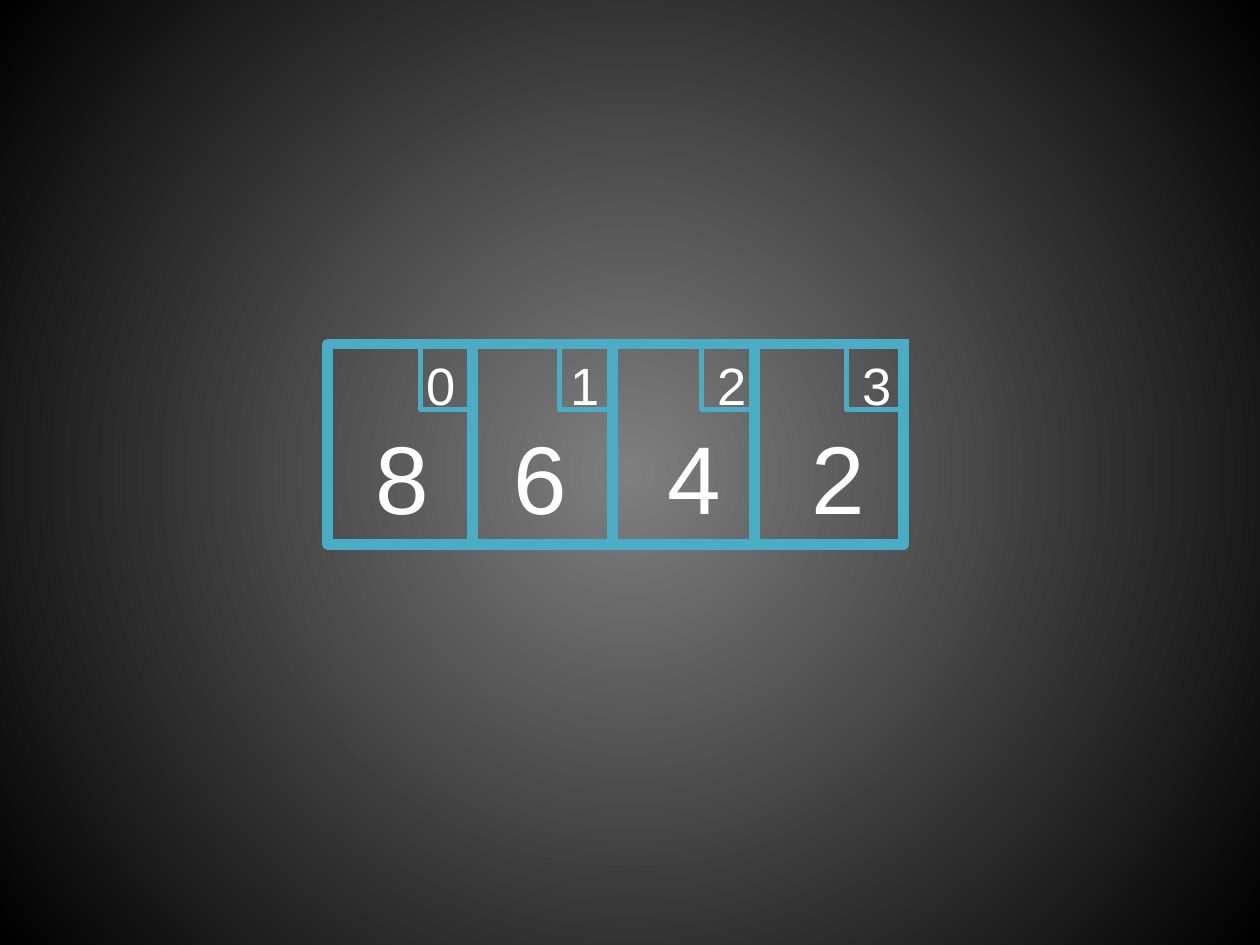
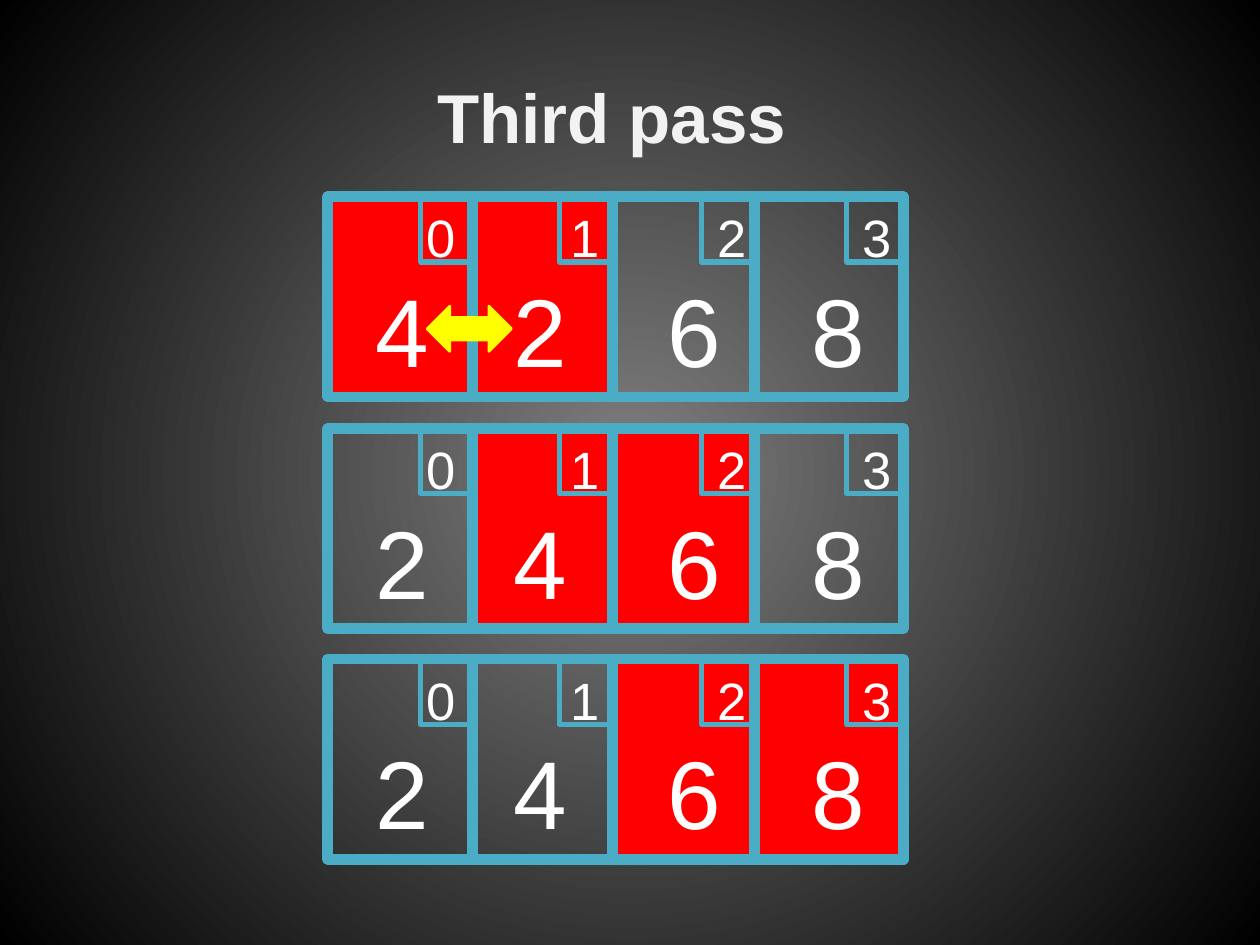
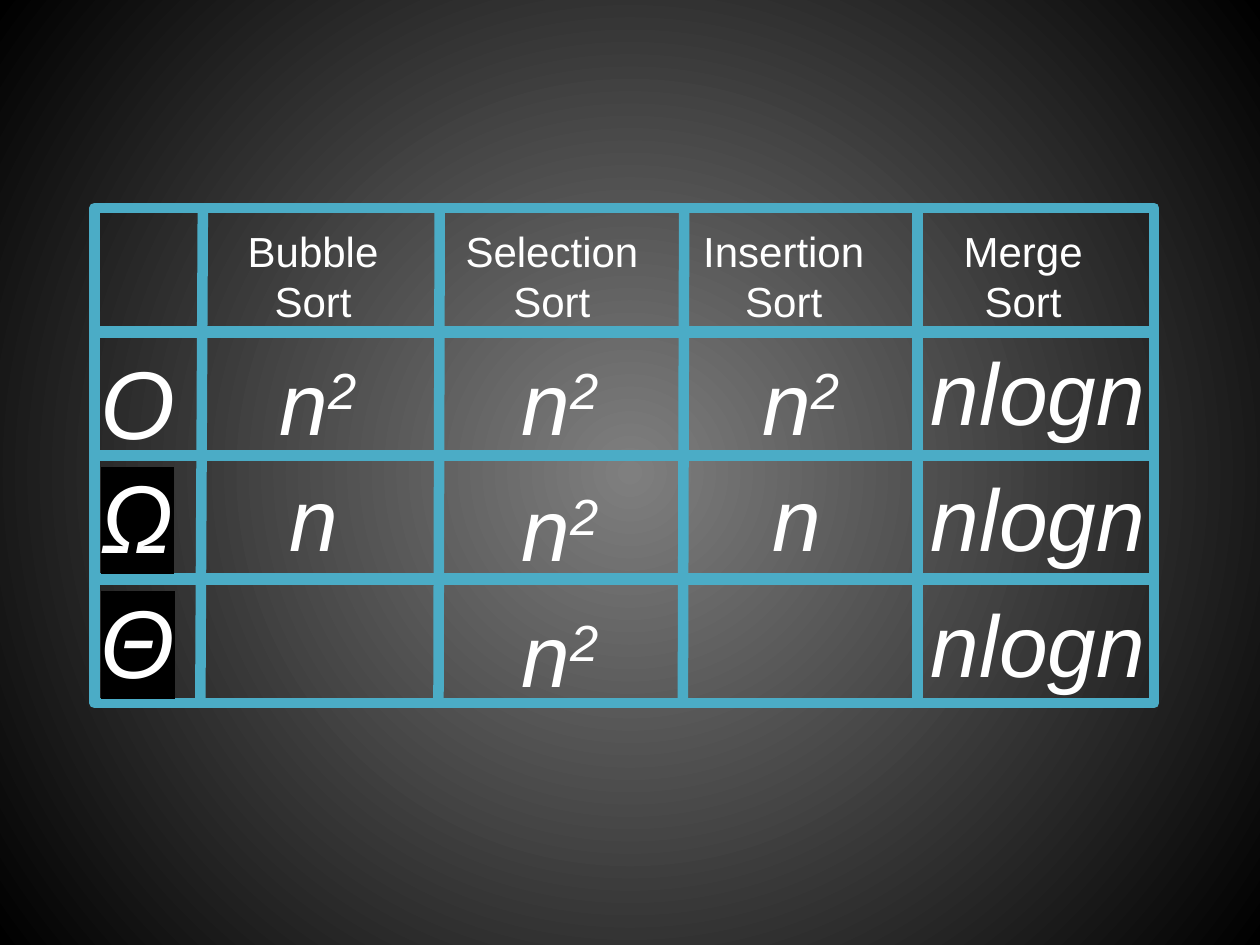
from dataclasses import dataclass

from lxml.etree import SubElement
from pptx import Presentation
from pptx.dml.color import RGBColor as RGB
from pptx.enum.shapes import MSO_CONNECTOR as CONNECTOR, MSO_SHAPE as SHAPE
from pptx.enum.text import MSO_ANCHOR as ANCHOR, PP_ALIGN as ALIGN
from pptx.oxml.ns import qn
from pptx.util import Pt

PX = 9144
LINE = "line"


@dataclass(frozen=True)
class Theme:
    font: str = "Arial"
    glow: RGB = RGB(0x7F, 0x7F, 0x7F)
    black: RGB = RGB(0, 0, 0)
    white: RGB = RGB(0xFF, 0xFF, 0xFF)
    title: RGB = RGB(0xF2, 0xF2, 0xF2)
    grid: RGB = RGB(0x4B, 0xAC, 0xC6)
    compared: RGB = RGB(0xFF, 0, 0)
    compared_edge: RGB = RGB(0x1F, 0x49, 0x7D)
    swap: RGB = RGB(0xFF, 0xFF, 0)
    title_size: float = 39.5
    value_size: int = 55
    growth_size: int = 50
    index_size: int = 30
    header_size: int = 24
    thick: int = 6
    medium: int = 3
    thin: float = 1.5


theme = Theme()


def draw(shapes, kind, box, color, weight, fill=None):
    left, top, width, height = [length * PX for length in box]
    if kind == LINE:
        shape = shapes.add_connector(
            CONNECTOR.STRAIGHT, left, top, left + width, top + height)
    else:
        shape = shapes.add_shape(kind, left, top, width, height)
        shape.shadow.inherit = False
        if fill is None:
            shape.fill.background()
        else:
            shape.fill.solid()
            shape.fill.fore_color.rgb = fill
    shape.line.color.rgb = color
    shape.line.width = Pt(weight)
    if kind == LINE:
        SubElement(shape.element.spPr, qn("a:effectLst"))


def write(shapes, box, text, size, color=theme.white, anchor=ANCHOR.MIDDLE,
          align=ALIGN.LEFT, bold=False, italic=False, raised="", highlight=None):
    frame = shapes.add_textbox(*[length * PX for length in box]).text_frame
    frame.word_wrap = True
    frame.vertical_anchor = anchor
    frame.margin_left = frame.margin_right = 10 * PX
    frame.margin_top = frame.margin_bottom = 10 * PX
    paragraph = frame.paragraphs[0]
    paragraph.alignment = align
    for part in filter(None, (text, raised)):
        run = paragraph.add_run()
        run.text = part
        font = run.font
        font.name, font.size = theme.font, Pt(size)
        font.bold, font.italic = bold, italic
        font.color.rgb = color
        properties = run._r.get_or_add_rPr()
        if part == raised:
            properties.set("baseline", "30000")
        if highlight is not None:
            marker = SubElement(properties, qn("a:highlight"))
            SubElement(marker, qn("a:srgbClr"), val=str(highlight))
            properties.find(qn("a:solidFill")).addnext(marker)


presentation = Presentation()
presentation.slide_width = 1000 * PX
presentation.slide_height = 750 * PX

master = presentation.slide_master
backdrop = master.background.fill
backdrop.gradient()
for stop, color in zip(backdrop.gradient_stops, (theme.glow, theme.black)):
    stop.color.rgb = color
gradient = master.element.find(".//" + qn("p:bgPr") + "/" + qn("a:gradFill"))
linear = gradient.find(qn("a:lin"))
circle = SubElement(gradient, qn("a:path"), path="circle")
SubElement(circle, qn("a:fillToRect"), l="50000", t="50000", r="50000", b="50000")
gradient.replace(linear, circle)

blank = presentation.slide_layouts[6]
start_slide, pass_slide, growth_slide = [
    presentation.slides.add_slide(blank) for _ in range(3)
]

value_lefts = (288, 398, 520, 634)
index_boxes = ((329, 36), (443, 36), (560, 36), (675, 67))
corner_lefts = (334, 444, 557, 672)
divider_lefts = (375, 486, 599)

arrays = (
    (start_slide, 270, "8642", None),
    (pass_slide, 153, "4268", (262, 153)),
    (pass_slide, 337, "2468", (375, 339)),
    (pass_slide, 520, "2468", (489, 523)),
)
for slide, top, values, compared in arrays:
    shapes = slide.shapes
    if compared:
        draw(shapes, SHAPE.RECTANGLE, (*compared, 227, 162),
             theme.compared_edge, theme.thin, theme.compared)
        shapes = shapes.add_group_shape().shapes
    draw(shapes, SHAPE.RECTANGLE, (260, top + 3, 457, 159), theme.grid, theme.thick)
    for left in divider_lefts:
        draw(shapes, LINE, (left, top - 1, 0, 162), theme.grid, theme.thick)
    for index, value in enumerate(values):
        draw(shapes, SHAPE.RECTANGLE, (corner_lefts[index], top + 2, 43, 53),
             theme.grid, theme.medium)
        left, width = index_boxes[index]
        write(shapes, (left, top, width, 58), str(index), theme.index_size,
              anchor=ANCHOR.TOP)
        write(shapes, (value_lefts[index], top + 27, 98, 162), value, theme.value_size)

draw(start_slide.shapes, LINE, (717, 269, 0, 162), theme.grid, theme.thick)

draw(pass_slide.shapes, SHAPE.LEFT_RIGHT_ARROW, (339, 243, 67, 36),
     theme.swap, theme.thin, theme.swap)
write(pass_slide.shapes, (337, 66, 299, 52), "Third pass", theme.title_size,
      theme.title, bold=True)

shapes = growth_slide.shapes
for row in range(4):
    draw(shapes, SHAPE.RECTANGLE, (75, 165 + 98 * row, 841, 99), theme.grid, theme.thick)
for left, top, slant, height in (
    (161, 165, -2, 393), (349, 166, -1, 390), (543, 166, -1, 390), (728, 166, 0, 390)
):
    draw(shapes, LINE, (left, top, slant, height), theme.grid, theme.thick)

for symbol, top, highlight in (
    ("O", 238, None), ("Ω", 329, theme.black), ("Θ", 428, theme.black)
):
    write(shapes, (70, top, 135, 160), symbol, theme.value_size,
          italic=True, highlight=highlight)

growth_styles = {
    "n2": (0, 238, 219, "n", "2"),
    "n": (8, 230, 93, "n", ""),
    "nlogn": (0, 230, 219, "nlogn", ""),
}
algorithms = (
    ("Bubble Sort", 157, 183, 212, ("n2", "n")),
    ("Selection Sort", 334, 208, 404, ("n2", "n2", "n2")),
    ("Insertion Sort", 518, 208, 595, ("n2", "n")),
    ("Merge Sort", 727, 170, 729, ("nlogn", "nlogn", "nlogn")),
)
for name, header_left, header_width, growth_left, growths in algorithms:
    write(shapes, (header_left, 139, header_width, 160), name, theme.header_size,
          align=ALIGN.CENTER)
    for row, growth in enumerate(growths):
        shift, top, width, text, raised = growth_styles[growth]
        write(shapes, (growth_left + shift, top + 100 * row, width, 160), text,
              theme.growth_size, italic=True, raised=raised)

presentation.save("out.pptx")
